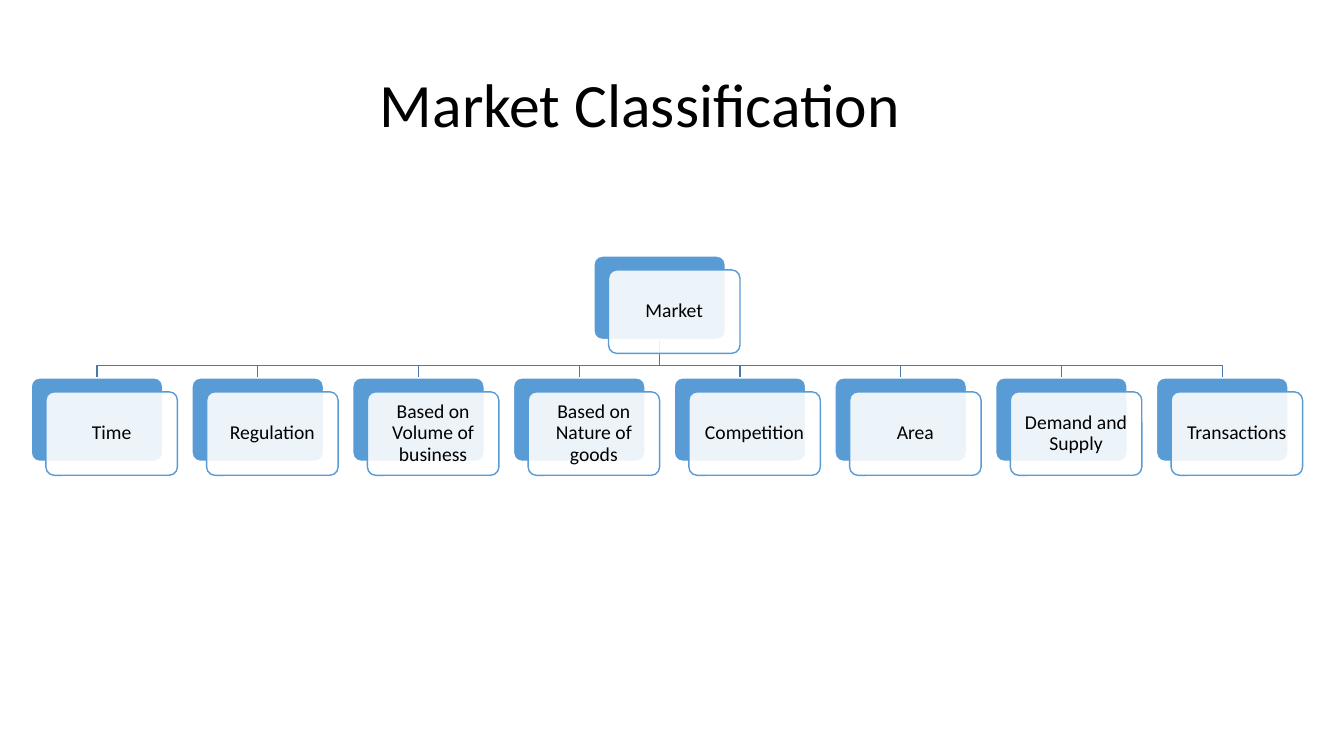
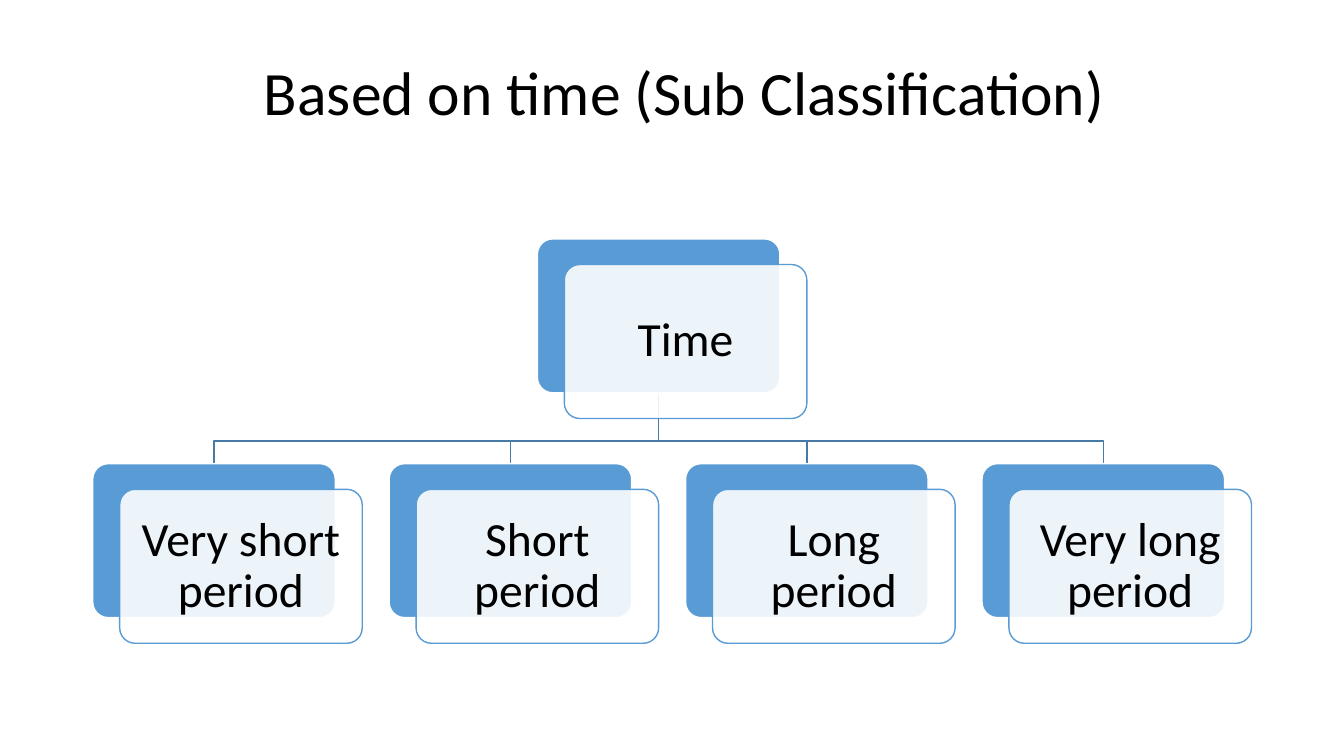
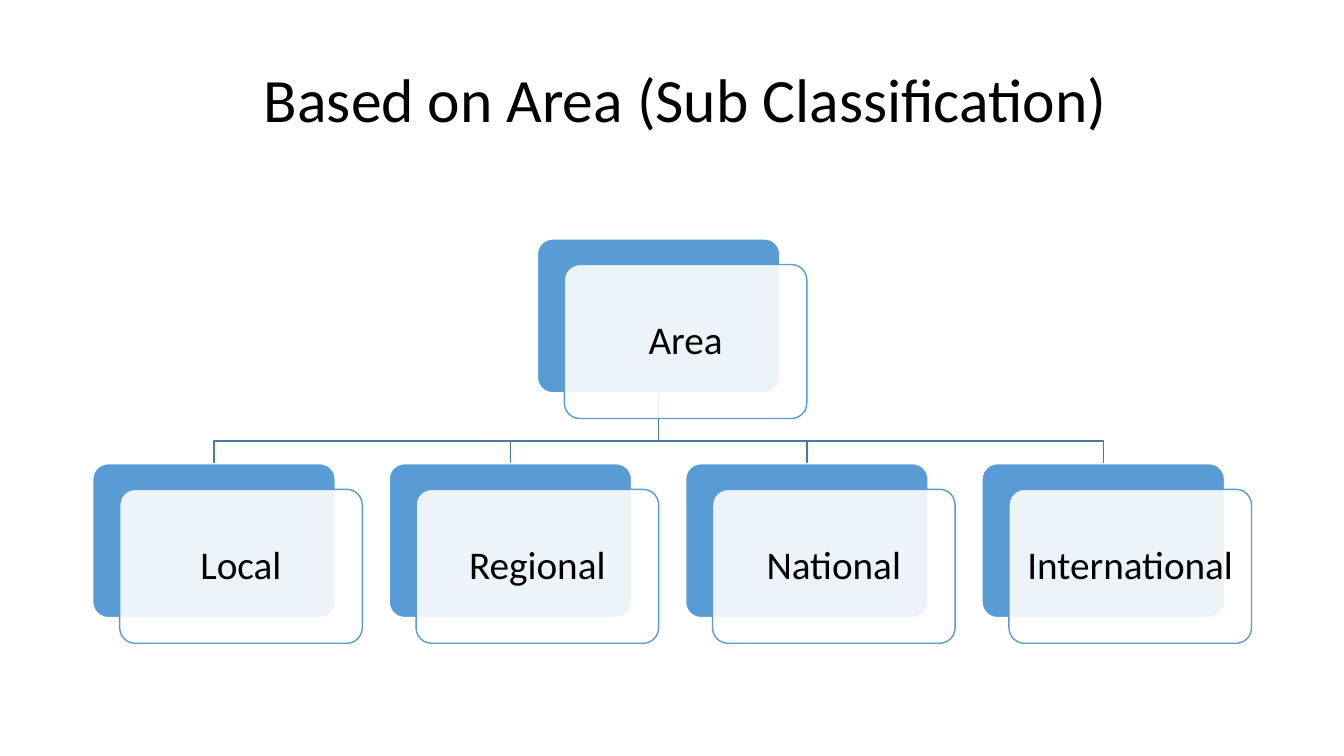
from lxml.etree import SubElement
from pptx import Presentation
from pptx.dml.color import RGBColor
from pptx.enum.shapes import MSO_SHAPE as SHAPE
from pptx.enum.text import MSO_ANCHOR as ANCHOR, PP_ALIGN as ALIGN
from pptx.oxml.ns import qn
from pptx.util import Inches, Pt

BLACK = RGBColor(0x00, 0x00, 0x00)
WHITE = RGBColor(0xFF, 0xFF, 0xFF)
BLUE = RGBColor(0x59, 0x9B, 0xD5)
LINE_BLUE = RGBColor(0x48, 0x7A, 0xA8)


class Deck:
    """Hold the shared style and the current slide, and draw titled hierarchy charts."""

    font = "Calibri"
    title_size = 44
    corner = 0.1
    opacity = 89

    def __init__(self):
        self.prs = Presentation()
        self.prs.slide_width = Inches(13.33)
        self.prs.slide_height = Inches(7.5)

    def add_slide(self):
        self.s = self.prs.slides.add_slide(self.prs.slide_layouts[6])

    def set_text(self, sp, text, size, align):
        tf = sp.text_frame
        tf.word_wrap = True
        tf.vertical_anchor = ANCHOR.MIDDLE
        p = tf.paragraphs[0]
        p.text = text
        p.alignment = align
        p.line_spacing = 0.9
        p.font.name = self.font
        p.font.size = Pt(size)
        p.font.color.rgb = BLACK
        return tf

    def title(self, text, left, top):
        sp = self.s.shapes.add_textbox(Inches(left), Inches(top), Inches(11.5), Inches(1.45))
        self.set_text(sp, text, self.title_size, ALIGN.LEFT)

    def panel(self, left, top, width, height, fill, line):
        sp = self.s.shapes.add_shape(SHAPE.ROUNDED_RECTANGLE, Inches(left), Inches(top),
                                     Inches(width), Inches(height))
        sp.adjustments[0] = self.corner
        sp.shadow.inherit = False
        sp.fill.solid()
        sp.fill.fore_color.rgb = fill
        sp.line.color.rgb = line
        sp.line.width = Pt(1)
        return sp

    def card(self, text, left, top, width, height, size, inset):
        self.panel(left, top, width, height, BLUE, WHITE)
        sp = self.panel(left + width / 9, top + height / 6, width, height, WHITE, BLUE)
        color = sp.element.spPr.find(qn("a:solidFill"))[0]
        SubElement(color, qn("a:alpha")).set("val", str(self.opacity * 1000))
        tf = self.set_text(sp, text, size, ALIGN.CENTER)
        tf.margin_left = tf.margin_right = tf.margin_top = tf.margin_bottom = Inches(inset)

    def elbow(self, x1, y1, x2, y2, bend):
        points = [(Inches(x), Inches(y)) for x, y in ((x1, bend), (x2, bend), (x2, y2))]
        builder = self.s.shapes.build_freeform(Inches(x1), Inches(y1))
        builder.add_line_segments(points, close=False)
        sp = builder.convert_to_shape()
        sp.shadow.inherit = False
        sp.fill.background()
        sp.line.color.rgb = LINE_BLUE
        sp.line.width = Pt(1)

    def hierarchy(self, root, children, first, last, top, size, inset):
        pitch = (last - first) / (len(children) - 1)
        width = pitch * 9 / 11
        height = width * 0.635
        gap = height * 0.46
        row = top + height + gap
        lefts = [first + i * pitch for i in range(len(children))]
        root_left = (first + last) / 2
        for left in reversed(lefts):
            self.elbow(root_left + width / 2, top + height, left + width / 2, row,
                       row - gap * 0.32)
        self.card(root, root_left, top, width, height, size, inset)
        for text, left in zip(children, lefts):
            self.card(text, left, row, width, height, size, inset)


def main():
    deck = Deck()

    deck.add_slide()
    deck.title("Market Classification", 3.67, 0.34)
    deck.hierarchy("Market",
                   ["Time", "Regulation", "Based on Volume of business",
                    "Based on Nature of goods", "Competition", "Area",
                    "Demand and Supply", "Transactions"],
                   0.31, 11.47, 2.54, 14, 0.06)

    deck.add_slide()
    deck.title("Based on time (Sub Classification)", 2.52, 0.22)
    deck.hierarchy("Time",
                   ["Very short period", "Short period", "Long period", "Very long period"],
                   0.92, 9.74, 2.37, 34, 0.14)

    deck.add_slide()
    deck.title("Based on Area (Sub Classification)", 2.52, 0.29)
    deck.hierarchy("Area", ["Local", "Regional", "National", "International"],
                   0.92, 9.74, 2.37, 28, 0.12)

    deck.prs.save("out.pptx")


if __name__ == "__main__":
    main()
